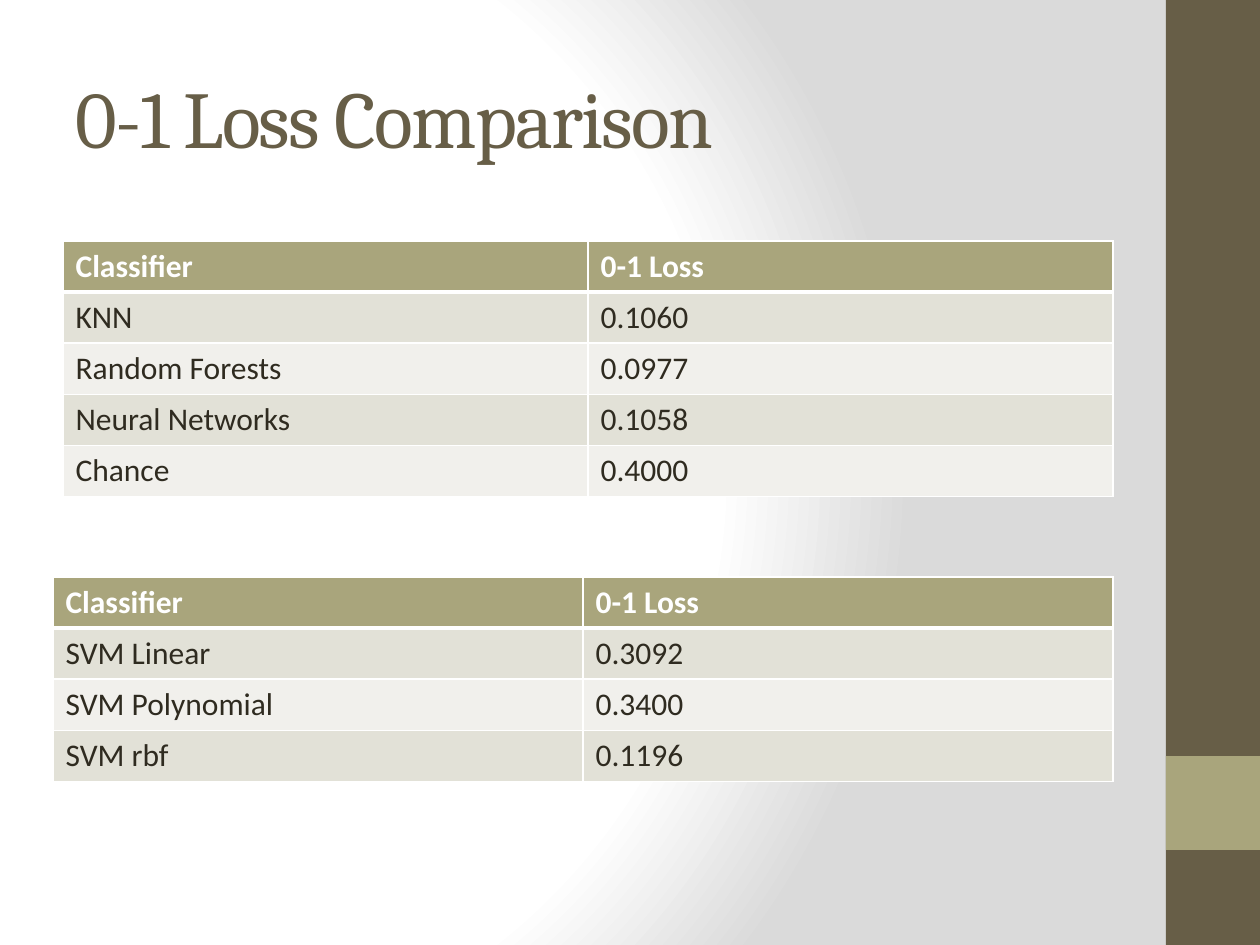
from pptx import Presentation
from pptx.dml.color import RGBColor
from pptx.enum.shapes import MSO_SHAPE
from pptx.enum.text import MSO_ANCHOR, MSO_AUTO_SIZE, PP_ALIGN
from pptx.oxml import parse_xml
from pptx.oxml.ns import nsdecls
from pptx.util import Emu, Pt

RECTANGLE = MSO_SHAPE.RECTANGLE
MIDDLE = MSO_ANCHOR.MIDDLE
NO_AUTOFIT = MSO_AUTO_SIZE.NONE
LEFT = PP_ALIGN.LEFT

# Content
TITLE = "0-1 Loss Comparison"
HEADER = ("Classifier", "0-1 Loss")
LOSS_TABLES = [
    {"at": (63, 241), "width": 1050, "rows": [
        ("KNN", "0.1060"),
        ("Random Forests", "0.0977"),
        ("Neural Networks", "0.1058"),
        ("Chance", "0.4000"),
    ]},
    {"at": (53, 577), "width": 1060, "rows": [
        ("SVM Linear", "0.3092"),
        ("SVM Polynomial", "0.3400"),
        ("SVM rbf", "0.1196"),
    ]},
]
ROW_HEIGHT = 51
TITLE_BOX = (63, 38, 1050, 157)
SIDE_BARS = [("brown", (1166, 0, 94, 945)), ("olive", (1166, 756, 94, 94))]

THEME = {
    "brown": "675E47", "olive": "A9A57C", "white": "FFFFFF", "ink": "2F2B20",
    "bands": ("E2E1D7", "F1F0EC"),
    "backdrop": [(0, "FFFFFF"), (75, "FFFFFF"), (100, "DADADA")],
    "title_font": "Cambria", "title_size": 46, "title_spacing": -1,
    "body_font": "Calibri", "body_size": 18,
    "border": 1, "header_border": 3,
}


def px(length):
    return Emu(round(length * 914400 / 126))


def box(lengths):
    return [px(length) for length in lengths]


def paint(fill, color):
    fill.solid()
    fill.fore_color.rgb = RGBColor.from_string(color)


def style_font(font, name, size, color, bold=False):
    font.name, font.size, font.bold = name, Pt(size), bold
    font.color.rgb = RGBColor.from_string(color)


def set_borders(cell, bottom, top):
    widths = {"L": THEME["border"], "R": THEME["border"], "T": top, "B": bottom}
    properties = cell._tc.get_or_add_tcPr()
    for index, (side, width) in enumerate(widths.items()):
        properties.insert(index, parse_xml(
            f'<a:ln{side} {nsdecls("a")} w="{Pt(width)}"><a:solidFill>'
            f'<a:srgbClr val="{THEME["white"]}"/></a:solidFill></a:ln{side}>'))


def add_loss_table(slide, at, width, rows):
    rows = [HEADER, *rows]
    frame = slide.shapes.add_table(
        len(rows), len(HEADER), *box((*at, width, ROW_HEIGHT * len(rows))))
    for r, values in enumerate(rows):
        is_header = r == 0
        fill = THEME["olive"] if is_header else THEME["bands"][(r - 1) % 2]
        color = THEME["white"] if is_header else THEME["ink"]
        bottom = THEME["header_border"] if is_header else THEME["border"]
        top = THEME["header_border"] if r == 1 else THEME["border"]
        for c, value in enumerate(values):
            cell = frame.table.cell(r, c)
            cell.text = value
            paint(cell.fill, fill)
            style_font(cell.text_frame.paragraphs[0].font, THEME["body_font"],
                       THEME["body_size"], color, is_header)
            set_borders(cell, bottom, top)


prs = Presentation()
prs.slide_width, prs.slide_height = px(1260), px(945)
slide = prs.slides.add_slide(prs.slide_layouts[5])

# Radial backdrop
slide.background.fill.solid()
solid = slide.element.xpath(".//p:bgPr/a:solidFill")[0]
stops = "".join(f'<a:gs pos="{pos * 1000}"><a:srgbClr val="{color}"/></a:gs>'
                for pos, color in THEME["backdrop"])
solid.getparent().replace(solid, parse_xml(
    f'<a:gradFill {nsdecls("a")} rotWithShape="1"><a:gsLst>{stops}</a:gsLst>'
    '<a:path path="circle"><a:fillToRect l="20000" t="50000" r="100000" b="50000"/>'
    '</a:path></a:gradFill>'))

# Side bars
for color, place in SIDE_BARS:
    bar = slide.shapes.add_shape(RECTANGLE, *box(place))
    bar.shadow.inherit = False
    paint(bar.fill, THEME[color])
    bar.line.fill.background()

# Title
title = slide.shapes.title
title.left, title.top, title.width, title.height = box(TITLE_BOX)
title.text_frame.text = TITLE
title.text_frame.auto_size = NO_AUTOFIT
title.text_frame.vertical_anchor = MIDDLE
heading = title.text_frame.paragraphs[0]
heading.alignment = LEFT
style_font(heading.font, THEME["title_font"], THEME["title_size"], THEME["brown"])
heading.runs[0]._r.get_or_add_rPr().set("spc", str(THEME["title_spacing"] * 100))

# Loss tables
for loss_table in LOSS_TABLES:
    add_loss_table(slide, **loss_table)

prs.save("out.pptx")
